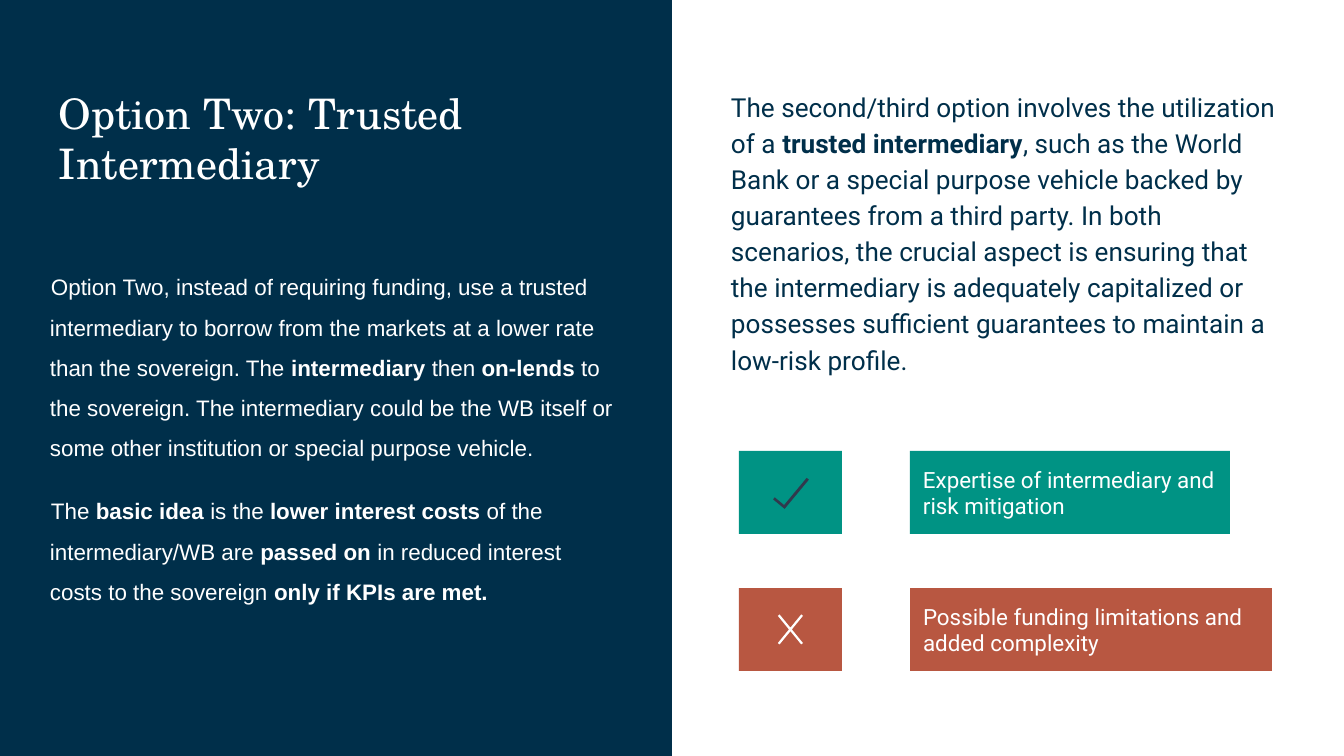
from pptx import Presentation
from pptx import util as u
from pptx.dml.color import RGBColor
from pptx.enum import shapes, text

NAVY = RGBColor(0x00, 0x2F, 0x4A)
WHITE = RGBColor(0xFF, 0xFF, 0xFF)
RED = RGBColor(0xB8, 0x57, 0x41)
GREEN = RGBColor(0x00, 0x93, 0x84)
SLATE = RGBColor(0x31, 0x39, 0x4D)
PX = 9144000 / 1344
MSO = shapes.MSO_SHAPE

prs = Presentation()
prs.slide_width = u.Emu(round(1344 * PX))
prs.slide_height = u.Emu(round(756 * PX))
s = prs.slides.add_slide(prs.slide_layouts[6])


def add_shape(kind, box, color):
    sp = s.shapes.add_shape(kind, *[u.Emu(round(v * PX)) for v in box])
    sp.shadow.inherit = False
    sp.fill.solid()
    sp.fill.fore_color.rgb = color
    sp.line.fill.background()
    return sp


def write(sp, paras, font, size, color, inset=13, spacing=1.0, anchor=text.MSO_ANCHOR.TOP):
    tf = sp.text_frame
    tf.word_wrap = True
    tf.vertical_anchor = anchor
    tf.margin_left = tf.margin_right = u.Emu(round(13 * PX))
    tf.margin_top = tf.margin_bottom = u.Emu(round(inset * PX))
    for i, runs in enumerate(paras):
        p = tf.paragraphs[0] if i == 0 else tf.add_paragraph()
        p.alignment = text.PP_ALIGN.LEFT
        p.line_spacing = spacing
        for j, words in enumerate(runs):
            r = p.add_run()
            r.text = words
            r.font.name = font
            r.font.size = u.Pt(size)
            r.font.bold = j % 2 == 1
            r.font.color.rgb = color
    return tf


add_shape(MSO.RECTANGLE, (0, 0, 672, 756), NAVY)

title = s.shapes.add_textbox(*[u.Emu(round(v * PX)) for v in (46, 74, 544, 128)])
write(title, [["Option Two: Trusted"], ["Intermediary"]], "TeX Gyre Schola", 22.5, WHITE)

body = s.shapes.add_textbox(*[u.Emu(round(v * PX)) for v in (718, 74, 581, 605)])
write(body, [[
    "The second/third option involves the utilization of a ",
    "trusted intermediary",
    ", such as the World Bank or a special purpose vehicle backed by guarantees "
    "from a third party. In both scenarios, the crucial aspect is ensuring that "
    "the intermediary is adequately capitalized or possesses sufficient guarantees "
    "to maintain a low-risk profile.",
]], "Roboto", 14, NAVY, spacing=1.15)

points = [
    (451, 320, GREEN, "Expertise of intermediary and risk mitigation"),
    (588, 362, RED, "Possible funding limitations and added complexity"),
]
for top, width, color, label in points:
    add_shape(MSO.RECTANGLE, (739, top, 103, 83), color)
    sp = add_shape(MSO.RECTANGLE, (910, top, width, 83), color)
    write(sp, [[label]], "Roboto", 12, WHITE, anchor=text.MSO_ANCHOR.MIDDLE)

check = add_shape(MSO.CORNER, (772, 482, 38, 15), SLATE)
check.adjustments[0] = 0.19
check.adjustments[1] = 0.18
check.rotation = 309.7

cross = add_shape(MSO.MATH_MULTIPLY, (768, 602, 45, 55), WHITE)
cross.adjustments[0] = 0.05

details = s.shapes.add_textbox(*[u.Emu(round(v * PX)) for v in (37, 253, 590, 358)])
tf = write(details, [
    [
        "Option Two, instead of requiring funding, use a trusted intermediary to borrow "
        "from the markets at a lower rate than the sovereign. The ",
        "intermediary",
        " then ",
        "on-lends",
        " to the sovereign. The intermediary could be the WB itself or some other "
        "institution or special purpose vehicle.",
    ],
    [
        "The ",
        "basic idea",
        " is the ",
        "lower interest costs ",
        "of the intermediary/WB are ",
        "passed on ",
        "in reduced interest costs to the sovereign ",
        "only if KPIs are met.",
    ],
], "Arial", 12, WHITE, inset=7, spacing=1.5)
tf.paragraphs[1].space_before = u.Pt(12)
for p in tf.paragraphs:
    p._p.get_or_add_pPr().set("indent", str(round(PX)))

prs.save("out.pptx")
